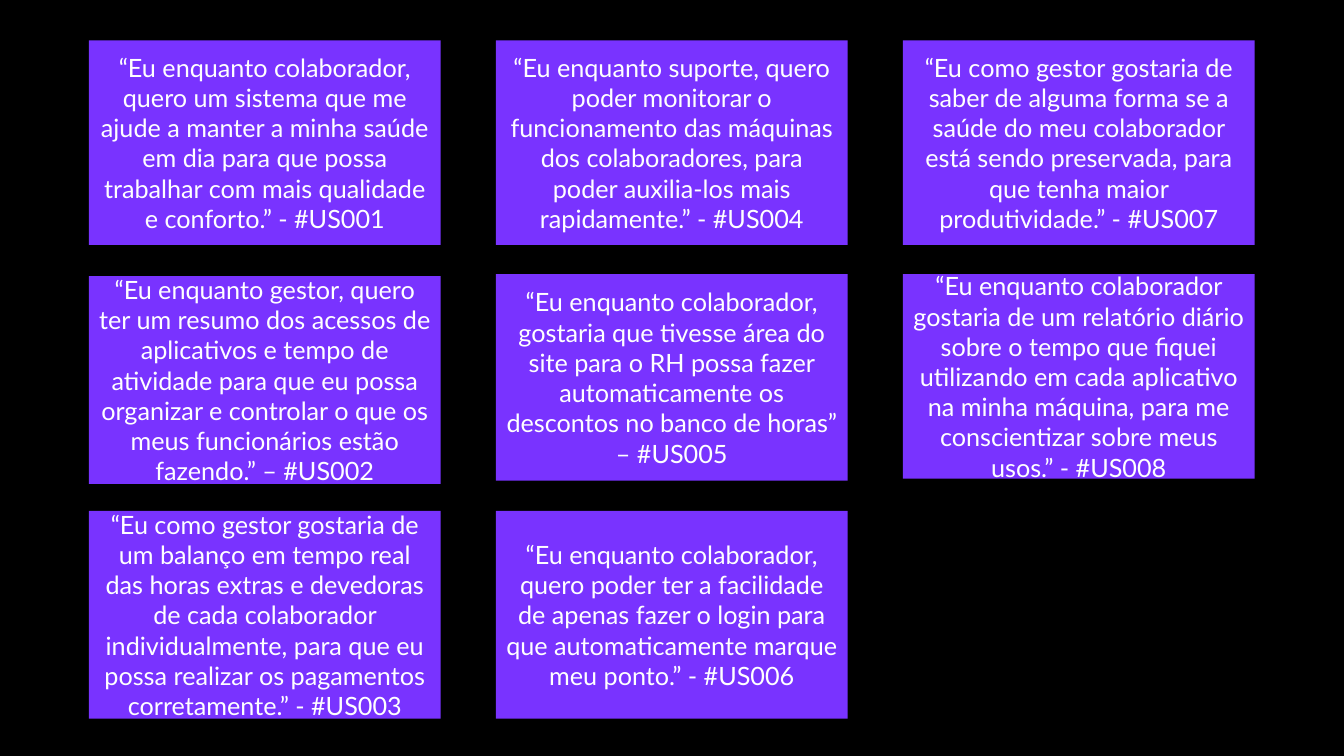
from pptx import Presentation
from pptx.dml.color import RGBColor
from pptx.enum import shapes, text
from pptx.util import Pt


def paint(fill, color):
    fill.solid()
    fill.fore_color.rgb = RGBColor.from_string(color)


story_columns = [
    [
        (28.8, 146.2, "“Eu enquanto colaborador, quero um sistema\u00a0que me ajude a manter a minha saúde em dia "
                      "para que possa trabalhar com mais qualidade e conforto.” - #US001"),
        (197.3, 148.3, "“Eu enquanto gestor, quero ter um resumo dos acessos de aplicativos e tempo de atividade "
                       "para que eu possa organizar e controlar o que os meus funcionários estão fazendo.” – #US002"),
        (365, 148.3, "“Eu como gestor gostaria de um balanço em tempo real das horas extras e devedoras de cada "
                     "colaborador individualmente, para que eu possa realizar os pagamentos corretamente.” - #US003"),
    ],
    [
        (28.8, 146.2, "“Eu enquanto suporte, quero poder monitorar o funcionamento das máquinas dos "
                      "colaboradores, para poder auxilia-los mais rapidamente.” - #US004"),
        (195.8, 147.6, "“Eu enquanto colaborador, gostaria que tivesse área do site para o RH possa fazer "
                       "automaticamente os descontos no banco de horas” – #US005"),
        (365, 148.3, "“Eu enquanto colaborador, quero poder ter a facilidade de apenas fazer o login para que "
                     "automaticamente marque meu ponto.” - #US006"),
    ],
    [
        (28.8, 146.2, "“Eu como gestor gostaria de saber de alguma forma se a saúde do meu colaborador está "
                      "sendo preservada, para que tenha maior produtividade.” - #US007"),
        (195.8, 146.2, "“Eu enquanto colaborador gostaria de um relatório diário sobre o tempo que fiquei "
                       "utilizando em cada aplicativo na minha máquina, para me conscientizar sobre meus usos.” "
                       "- #US008"),
    ],
]

FIRST_LEFT, COLUMN_STEP, CARD_WIDTH = 63.5, 290.7, 251.3

deck = Presentation()
deck.slide_width, deck.slide_height = Pt(960), Pt(540)
slide = deck.slides.add_slide(deck.slide_layouts[6])
paint(slide.background.fill, "000000")

for column, stories in enumerate(story_columns):
    left = FIRST_LEFT + column * COLUMN_STEP
    for top, height, story in stories:
        card = slide.shapes.add_shape(
            shapes.MSO_SHAPE.RECTANGLE, Pt(left), Pt(top), Pt(CARD_WIDTH), Pt(height))
        card.shadow.inherit = False
        paint(card.fill, "7933FF")
        card.line.fill.background()
        frame = card.text_frame
        frame.text = story
        frame.word_wrap = True
        frame.vertical_anchor = text.MSO_ANCHOR.MIDDLE
        paragraph = frame.paragraphs[0]
        paragraph.alignment = text.PP_ALIGN.CENTER
        font = paragraph.runs[0].font
        font.name, font.size = "Lato", Pt(18)
        paint(font.fill, "FFFFFF")

deck.save("out.pptx")
